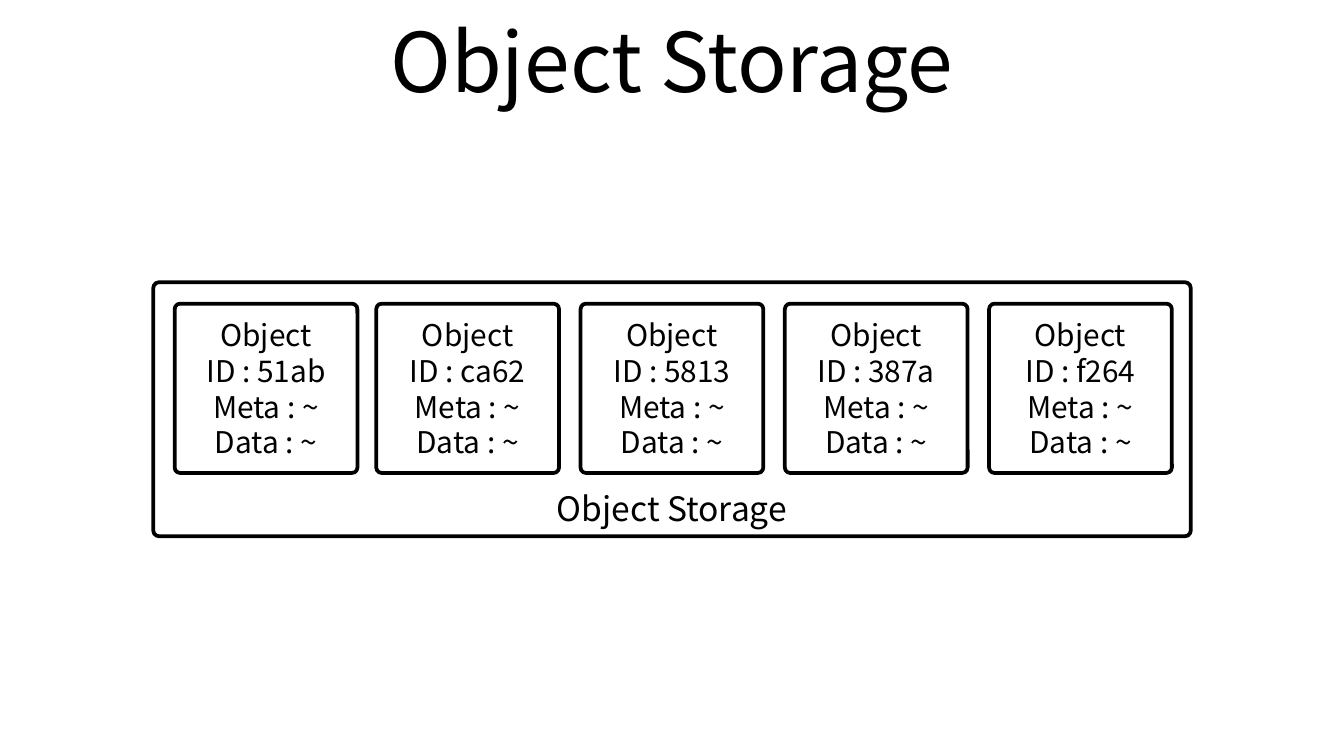
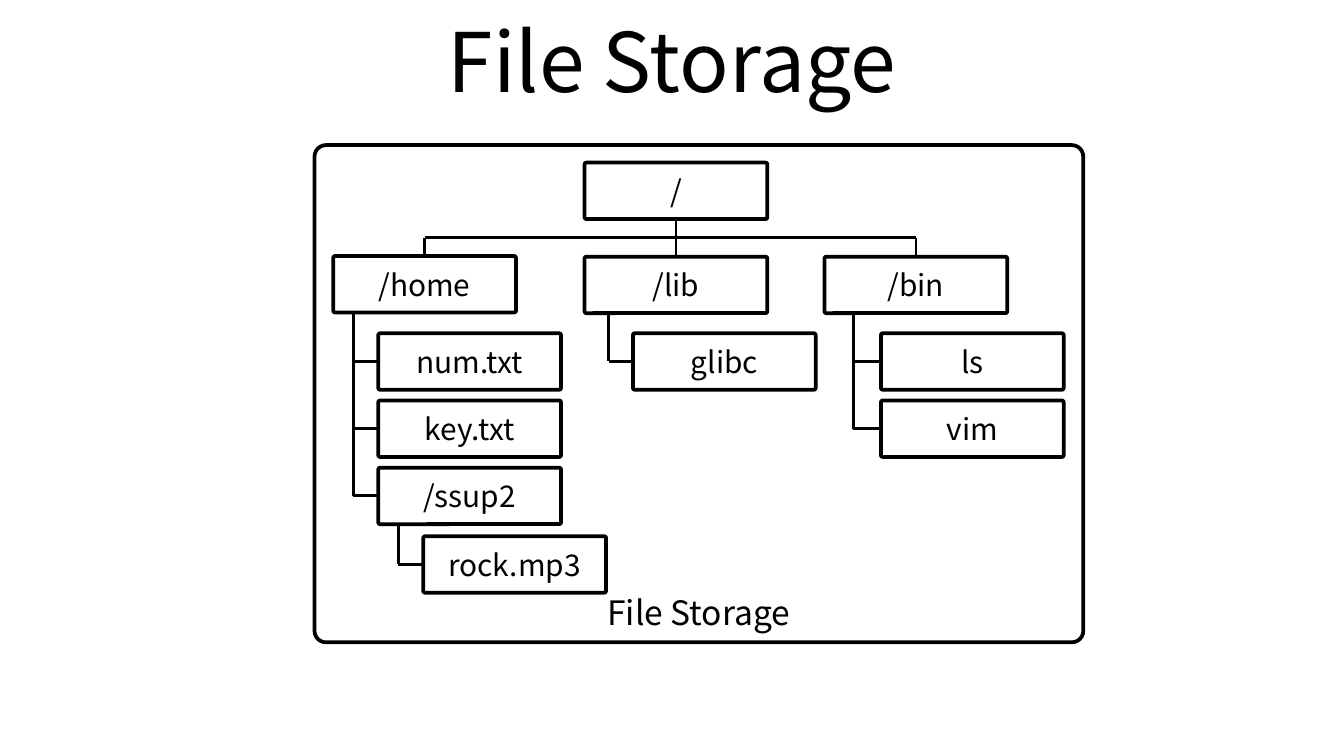
import pptx
import pptx.dml.color
import pptx.enum.shapes
import pptx.enum.text
import pptx.oxml.ns
import pptx.util
from lxml import etree

# Content
# object ID, left
OBJECTS = [("51ab", 260), ("ca62", 560), ("5813", 864), ("387a", 1168), ("f264", 1472)]
# name, left, top, trunk offset, child indent, files
FOLDERS = [
    ("/home", 496, 381, 30, 67, ["num.txt", "key.txt", "/ssup2"]),
    ("/lib", 870, 382, 36, 72, ["glibc"]),
    ("/bin", 1227, 382, 43, 84, ["ls", "vim"]),
]
SUBFOLDER, SUBFOLDER_FILES = "/ssup2", ["rock.mp3"]

# Shared style: 200 px to the inch
PX = 4572
PAGE_SIZE = (2000, 1125)
FONT = "Noto Sans CJK KR"
BLACK = pptx.dml.color.RGBColor(0, 0, 0)
WHITE = pptx.dml.color.RGBColor(255, 255, 255)
MIDDLE = pptx.enum.text.MSO_ANCHOR.MIDDLE
BOTTOM = pptx.enum.text.MSO_ANCHOR.BOTTOM
TOP_SIDE, LEFT_SIDE, BOTTOM_SIDE = 0, 1, 2

# Grid
BOX_WIDTH = 272
OBJECT_TOP, OBJECT_HEIGHT = 452, 252
NODE_HEIGHT = 84
ROOT_LEFT, ROOT_TOP, BAR_Y = 870, 242, 354
FILE_TOP, FILE_PITCH, SUBFILE_TOP = 496, 100, 798


def px(*lengths):
    return [length * PX for length in lengths]


def write(shape, lines, size, anchor):
    frame = shape.text_frame
    frame.word_wrap = True
    frame.vertical_anchor = anchor
    for index, line in enumerate(lines):
        para = frame.add_paragraph() if index else frame.paragraphs[0]
        para.alignment = pptx.enum.text.PP_ALIGN.CENTER
        span = para.add_run()
        span.text = line
        span.font.size = pptx.util.Pt(size)
        span.font.name = FONT
        span.font.color.rgb = BLACK
        east = etree.SubElement(span.font._element, pptx.oxml.ns.qn("a:ea"))
        east.set("typeface", FONT)


def add_page(deck, title):
    page = deck.slides.add_slide(deck.slide_layouts[5])
    heading = page.shapes.title
    heading.left, heading.top, heading.width, heading.height = px(100, -5, 1800, 188)
    write(heading, [title], 44, MIDDLE)
    return page


def add_box(page, place, lines, size=16, anchor=MIDDLE, corner=0.032):
    box = page.shapes.add_shape(
        pptx.enum.shapes.MSO_SHAPE.ROUNDED_RECTANGLE, *px(*place))
    box.adjustments[0] = corner
    box.shadow.inherit = False
    box.fill.solid()
    box.fill.fore_color.rgb = WHITE
    box.line.color.rgb = BLACK
    box.line.width = pptx.util.Pt(2)
    write(box, lines, size, anchor)
    return box


def add_frame(page, place, caption):
    add_box(page, place, [caption], 18, BOTTOM, 0.023)


def add_node(page, left, top, name):
    return add_box(page, (left, top, BOX_WIDTH, NODE_HEIGHT), [name])


def add_line(page, start, end, start_join=None, end_join=None):
    line = page.shapes.add_connector(
        pptx.enum.shapes.MSO_CONNECTOR.STRAIGHT, *px(*start, *end))
    line.line.color.rgb = BLACK
    line.line.width = pptx.util.Pt(1.5)
    etree.SubElement(line._element.spPr, pptx.oxml.ns.qn("a:effectLst"))
    if start_join:
        line.begin_connect(*start_join)
    if end_join:
        line.end_connect(*end_join)


def add_files(page, left, folder_top, trunk, indent, first_top, names):
    """Place files below a folder and join them to its trunk line."""
    trunk_x = left + trunk
    for index, name in enumerate(names):
        top = first_top + index * FILE_PITCH
        middle = top + NODE_HEIGHT // 2
        node = add_node(page, left + indent, top, name)
        add_line(page, (trunk_x, middle), (left + indent, middle),
                 end_join=(node, LEFT_SIDE))
        if name == SUBFOLDER:
            add_files(page, left + indent, top, trunk, indent,
                      SUBFILE_TOP, SUBFOLDER_FILES)
    add_line(page, (trunk_x, folder_top + NODE_HEIGHT), (trunk_x, middle))


def build_object_storage(deck):
    page = add_page(deck, "Object Storage")
    add_frame(page, (228, 420, 1544, 378), "Object Storage")
    for object_id, left in OBJECTS:
        lines = ["Object", f"ID : {object_id}", "Meta : ~", "Data : ~"]
        add_box(page, (left, OBJECT_TOP, BOX_WIDTH, OBJECT_HEIGHT), lines)


def build_file_storage(deck):
    page = add_page(deck, "File Storage")
    add_frame(page, (468, 216, 1144, 740), "File Storage")
    root = add_node(page, ROOT_LEFT, ROOT_TOP, "/")
    root_x = ROOT_LEFT + BOX_WIDTH // 2

    # Folders hang from one bar below the root
    centers = [left + BOX_WIDTH // 2 for _, left, *_ in FOLDERS]
    add_line(page, (centers[-1], BAR_Y), (centers[0], BAR_Y))
    for center, (name, left, top, trunk, indent, files) in zip(centers, FOLDERS):
        folder = add_node(page, left, top, name)
        if center == root_x:
            add_line(page, (root_x, ROOT_TOP + NODE_HEIGHT), (center, top),
                     (root, BOTTOM_SIDE), (folder, TOP_SIDE))
        else:
            add_line(page, (center, BAR_Y), (center, top),
                     end_join=(folder, TOP_SIDE))
        add_files(page, left, top, trunk, indent, FILE_TOP, files)


def main():
    deck = pptx.Presentation()
    deck.slide_width, deck.slide_height = px(*PAGE_SIZE)
    build_object_storage(deck)
    build_file_storage(deck)
    deck.save("out.pptx")


if __name__ == "__main__":
    main()
